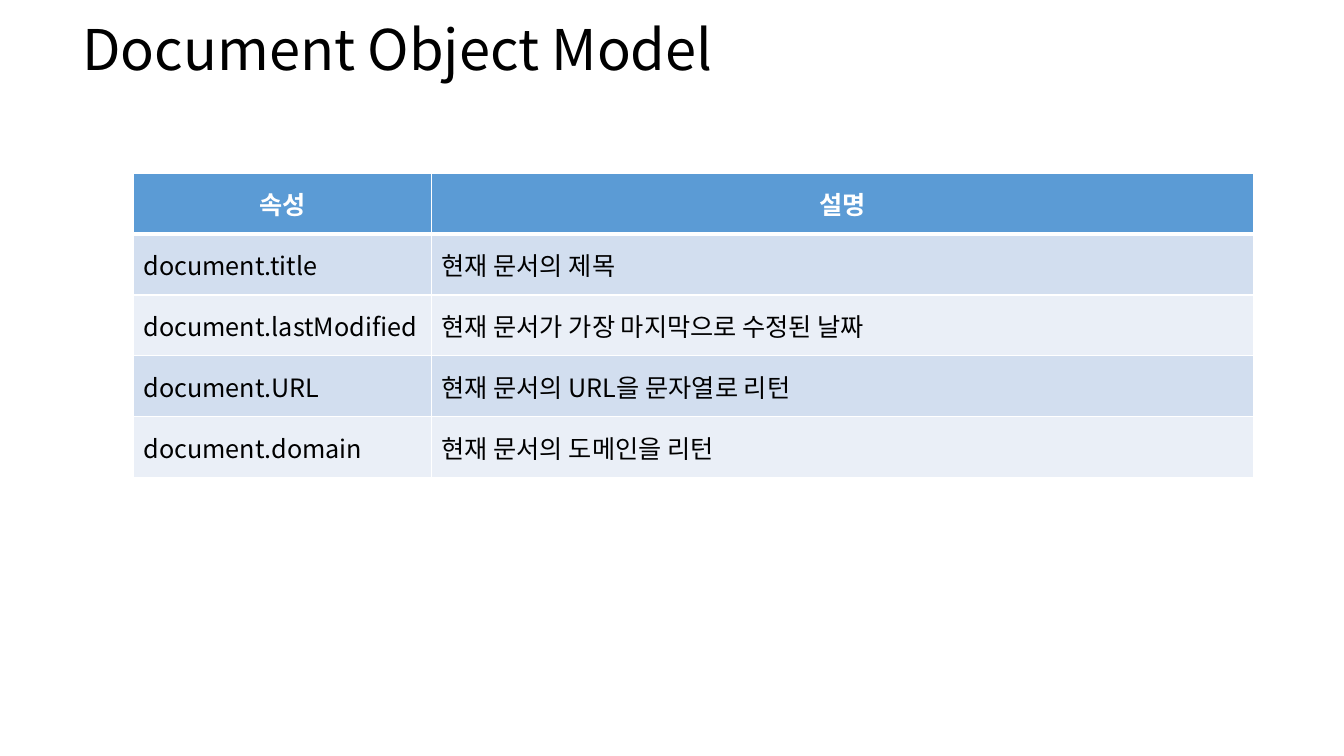
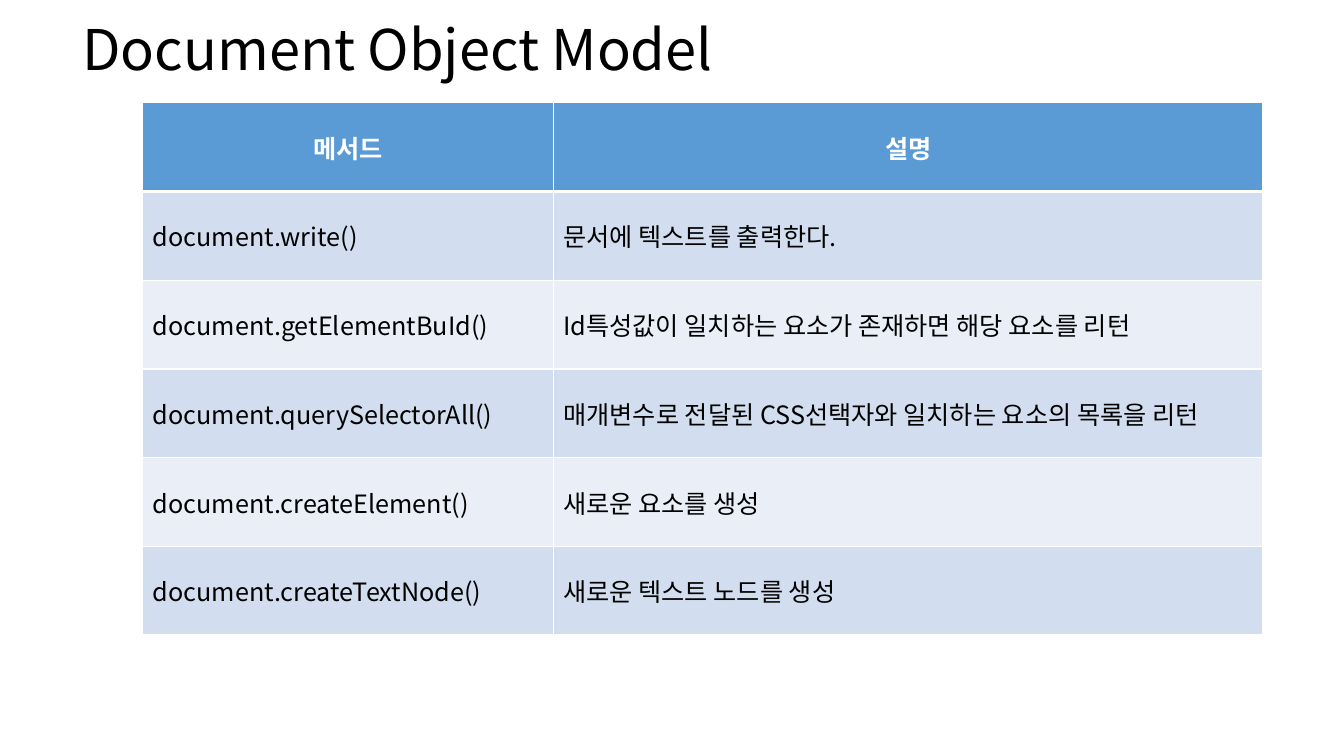
"""Builds two slides of Document Object Model reference tables."""
from lxml import etree
from pptx import Presentation
from pptx import util as u
from pptx.dml.color import RGBColor
from pptx.enum import text
from pptx.oxml.ns import qn

PX = 9525
FONT = "Noto Sans CJK KR"
TITLE = "Document Object Model"
TABLE_WIDTH = 1067
COLORS = {
    "text": "000000",
    "white": "FFFFFF",
    "header": "5B9BD5",
    "odd": "D2DEEF",
    "even": "EAEFF7",
}
TABLES = [
    {
        "left": 127, "top": 165, "height": 290, "first_column": 284,
        "rows": [
            ("속성", "설명"),
            ("document.title", "현재 문서의 제목"),
            ("document.lastModified", "현재 문서가 가장 마지막으로 수정된 날짜"),
            ("document.URL", "현재 문서의 URL을 문자열로 리턴"),
            ("document.domain", "현재 문서의 도메인을 리턴"),
        ],
    },
    {
        "left": 136, "top": 98, "height": 507, "first_column": 391,
        "rows": [
            ("메서드", "설명"),
            ("document.write()", "문서에 텍스트를 출력한다."),
            ("document.getElementBuId()", "Id특성값이 일치하는 요소가 존재하면 해당 요소를 리턴"),
            ("document.querySelectorAll()", "매개변수로 전달된 CSS선택자와 일치하는 요소의 목록을 리턴"),
            ("document.createElement()", "새로운 요소를 생성"),
            ("document.createTextNode()", "새로운 텍스트 노드를 생성"),
        ],
    },
]


def write(frame, words, size=18, color="text", bold=False, align=text.PP_ALIGN.LEFT):
    para = frame.paragraphs[0]
    para.alignment = align
    span = para.add_run()
    span.text = words
    span.font.name = FONT
    span.font.size = u.Pt(size)
    span.font.bold = bold
    span.font.color.rgb = RGBColor.from_string(COLORS[color])
    east_asian = etree.SubElement(span.font._element, qn("a:ea"))
    east_asian.set("typeface", FONT)


def fill_cell(cell, fill, bottom_width):
    properties = cell._tc.get_or_add_tcPr()
    for side in ("L", "R", "T", "B"):
        width = bottom_width if side == "B" else 1
        line = etree.SubElement(properties, qn(f"a:ln{side}"), w=str(u.Pt(width)))
        solid = etree.SubElement(line, qn("a:solidFill"))
        etree.SubElement(solid, qn("a:srgbClr"), val=COLORS["white"])
    cell.fill.solid()
    cell.fill.fore_color.rgb = RGBColor.from_string(COLORS[fill])


deck = Presentation()
deck.slide_width = 1280 * PX
deck.slide_height = 720 * PX

for layout in TABLES:
    page = deck.slides.add_slide(deck.slide_layouts[6])

    box = page.shapes.add_textbox(69 * PX, 9 * PX, 866 * PX, 74 * PX)
    box.text_frame.word_wrap = True
    box.text_frame.auto_size = text.MSO_AUTO_SIZE.SHAPE_TO_FIT_TEXT
    write(box.text_frame, TITLE, size=40)

    rows = layout["rows"]
    table = page.shapes.add_table(
        len(rows), 2, layout["left"] * PX, layout["top"] * PX,
        TABLE_WIDTH * PX, layout["height"] * PX,
    ).table
    table.columns[0].width = layout["first_column"] * PX
    table.columns[1].width = (TABLE_WIDTH - layout["first_column"]) * PX

    for row_index, row in enumerate(rows):
        is_header = row_index == 0
        fill = "header" if is_header else "odd" if row_index % 2 else "even"
        for column_index, words in enumerate(row):
            cell = table.cell(row_index, column_index)
            cell.vertical_anchor = text.MSO_ANCHOR.MIDDLE
            fill_cell(cell, fill, 3 if is_header else 1)
            write(
                cell.text_frame, words, bold=is_header,
                color="white" if is_header else "text",
                align=text.PP_ALIGN.CENTER if is_header else text.PP_ALIGN.LEFT,
            )

    for column_index in range(2):
        for side in table.cell(1, column_index)._tc.tcPr.findall(qn("a:lnT")):
            side.set("w", str(u.Pt(3)))

deck.save("out.pptx")
